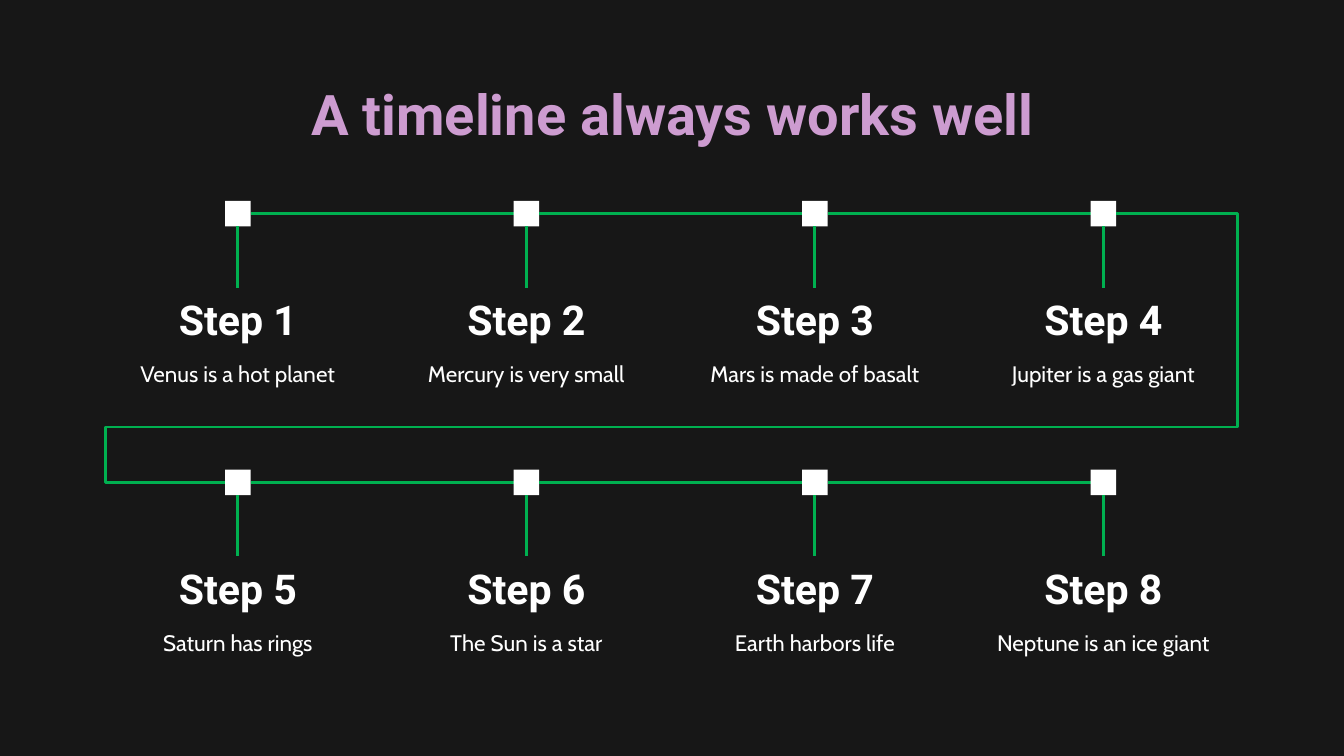
from dataclasses import dataclass

import pptx
import pptx.dml.color
import pptx.enum.shapes
import pptx.enum.text
import pptx.oxml
import pptx.oxml.ns
import pptx.util

SLIDE_WIDTH = 10
SLIDE_HEIGHT = SLIDE_WIDTH * 9 / 16
BACKGROUND, WHITE, GREEN = "171717", "FFFFFF", "00B050"
TITLE_GRADIENT = ("CD9CD0", "9CCAED")

COLUMNS = 4
FIRST_COLUMN, LAST_COLUMN = 1.77, 8.21
COLUMN_PITCH = (LAST_COLUMN - FIRST_COLUMN) / (COLUMNS - 1)
FIRST_ROW, ROW_PITCH = 1.59, 2.0
MARKER = 0.19
STEM_END = 0.55
TEXT_WIDTH = 1.98
TURN_ADJUSTMENTS = (-13600, 79400, 113400)

Anchor = pptx.enum.text.MSO_ANCHOR
Connector = pptx.enum.shapes.MSO_CONNECTOR


@dataclass
class Step:
    heading: str
    description: str


@dataclass
class TextStyle:
    font: str
    size: float
    bold: bool
    anchor: Anchor


STEPS = [
    Step("Step 1", "Venus is a hot planet"),
    Step("Step 2", "Mercury is very small"),
    Step("Step 3", "Mars is made of basalt"),
    Step("Step 4", "Jupiter is a gas giant"),
    Step("Step 5", "Saturn has rings"),
    Step("Step 6", "The Sun is a star"),
    Step("Step 7", "Earth harbors life"),
    Step("Step 8", "Neptune is an ice giant"),
]
TITLE = TextStyle("Roboto", 30, True, Anchor.TOP)
HEADING = TextStyle("Roboto", 22, True, Anchor.BOTTOM)
DESCRIPTION = TextStyle("Cabin", 12, False, Anchor.TOP)


def rgb(value: str) -> pptx.dml.color.RGBColor:
    return pptx.dml.color.RGBColor.from_string(value)


def inches(*lengths: float) -> list[pptx.util.Length]:
    return [pptx.util.Inches(length) for length in lengths]


def write(frame, text: str, style: TextStyle):
    """Fill a text frame with one centred run and return its font."""
    frame.word_wrap = True
    frame.auto_size = pptx.enum.text.MSO_AUTO_SIZE.NONE
    frame.vertical_anchor = style.anchor
    margin = pptx.util.Inches(0.1)
    frame.margin_left = frame.margin_right = margin
    frame.margin_top = frame.margin_bottom = margin
    paragraph = frame.paragraphs[0]
    paragraph.alignment = pptx.enum.text.PP_ALIGN.CENTER
    run = paragraph.add_run()
    run.text = text
    run.font.name = style.font
    run.font.size = pptx.util.Pt(style.size)
    run.font.bold = style.bold
    return run.font


def add_title(slide, text: str) -> None:
    title = slide.shapes.title
    title.left, title.top, title.width, title.height = inches(0.79, 0.49, 8.43, 0.63)
    fill = write(title.text_frame, text, TITLE).fill
    fill.gradient()
    fill.gradient_angle = 0
    for stop, colour in zip(fill.gradient_stops, TITLE_GRADIENT):
        stop.color.rgb = rgb(colour)


def add_text(slide, center: float, top: float, height: float, text: str, style: TextStyle) -> None:
    box = slide.shapes.add_textbox(*inches(center - TEXT_WIDTH / 2, top, TEXT_WIDTH, height))
    write(box.text_frame, text, style).color.rgb = rgb(WHITE)


def add_marker(slide, x: float, y: float) -> None:
    marker = slide.shapes.add_shape(
        pptx.enum.shapes.MSO_SHAPE.RECTANGLE,
        *inches(x - MARKER / 2, y - MARKER / 2, MARKER, MARKER),
    )
    marker.shadow.inherit = False
    marker.fill.solid()
    marker.fill.fore_color.rgb = rgb(WHITE)
    marker.line.fill.background()


def add_line(slide, x1: float, y1: float, x2: float, y2: float, kind=Connector.STRAIGHT):
    line = slide.shapes.add_connector(kind, *inches(x1, y1, x2, y2))
    line.line.color.rgb = rgb(GREEN)
    line.line.width = pptx.util.Pt(1.5)
    properties = line._element.spPr
    properties.append(pptx.oxml.parse_xml(f"<a:effectLst {pptx.oxml.ns.nsdecls('a')}/>"))
    return line


def add_row_turn(slide, x1: float, y1: float, x2: float, y2: float) -> None:
    """Lead the timeline from the end of one row round to the start of the next."""
    turn = add_line(slide, x1, y1, x2, y2, Connector.ELBOW)
    geometry = turn._element.spPr.find(pptx.oxml.ns.qn("a:prstGeom"))
    geometry.set("prst", "bentConnector5")
    guides = geometry.get_or_add_avLst()
    for number, value in enumerate(TURN_ADJUSTMENTS, start=1):
        guide = pptx.oxml.parse_xml(
            f'<a:gd {pptx.oxml.ns.nsdecls("a")} name="adj{number}" fmla="val {value}"/>'
        )
        guides.append(guide)


def add_step(slide, index: int, step: Step) -> None:
    row, column = divmod(index, COLUMNS)
    x = FIRST_COLUMN + column * COLUMN_PITCH
    y = FIRST_ROW + row * ROW_PITCH
    edge = MARKER / 2
    add_marker(slide, x, y)
    add_text(slide, x, y + STEM_END, 0.52, step.heading, HEADING)
    add_text(slide, x, y + 0.99, 0.35, step.description, DESCRIPTION)
    add_line(slide, x, y + edge, x, y + STEM_END)
    if column < COLUMNS - 1:
        add_line(slide, x + edge, y, x + COLUMN_PITCH - edge, y)


def main() -> None:
    deck = pptx.Presentation()
    deck.slide_width, deck.slide_height = inches(SLIDE_WIDTH, SLIDE_HEIGHT)
    slide = deck.slides.add_slide(deck.slide_layouts.get_by_name("Title Only"))
    slide.background.fill.solid()
    slide.background.fill.fore_color.rgb = rgb(BACKGROUND)

    add_title(slide, "A timeline always works well")
    for index, step in enumerate(STEPS):
        add_step(slide, index, step)
    add_row_turn(
        slide,
        LAST_COLUMN + MARKER / 2,
        FIRST_ROW,
        FIRST_COLUMN - MARKER / 2,
        FIRST_ROW + ROW_PITCH,
    )
    deck.save("out.pptx")


if __name__ == "__main__":
    main()
